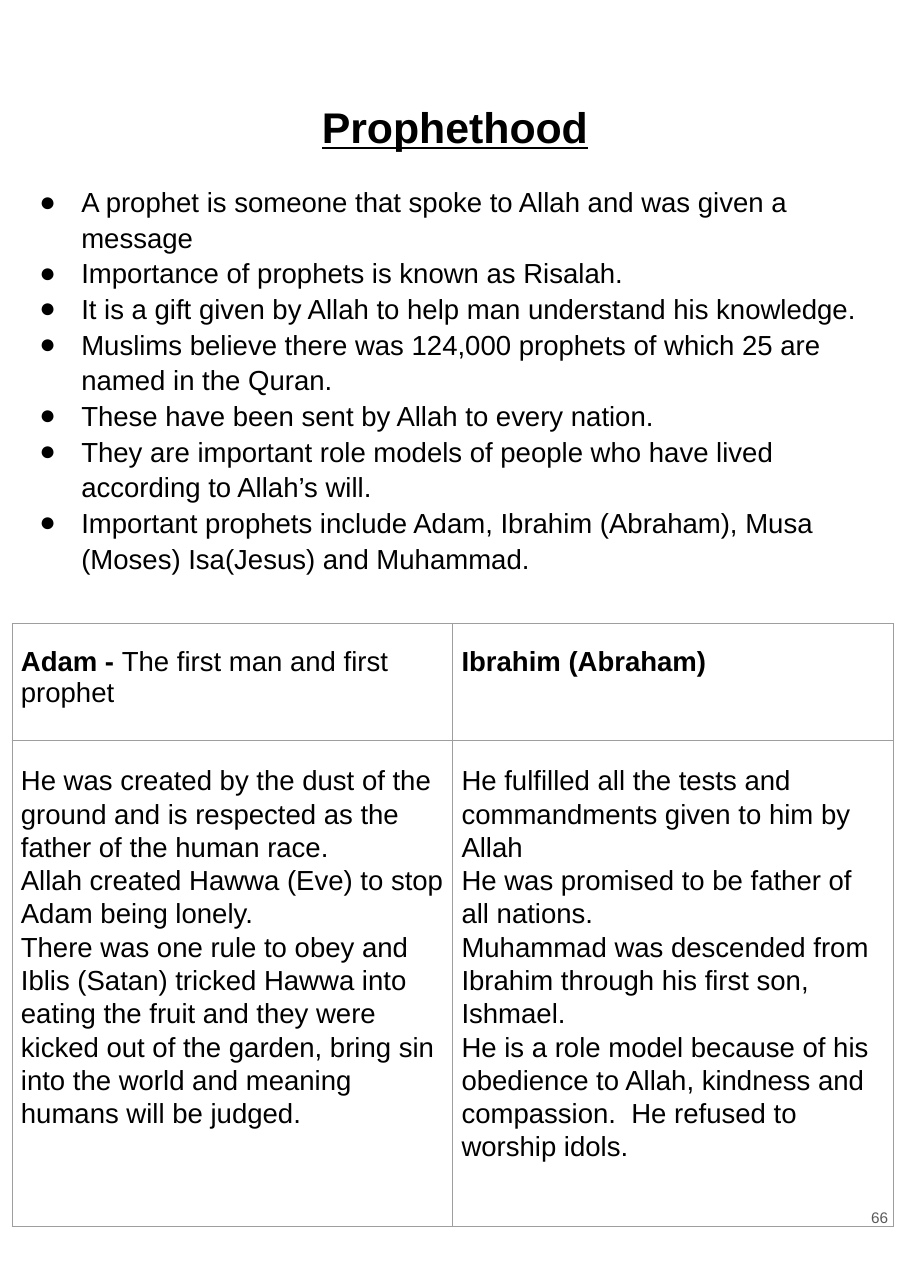
from lxml.etree import SubElement
from pptx import Presentation
from pptx.dml.color import RGBColor
from pptx.enum.text import MSO_ANCHOR, PP_ALIGN
from pptx.oxml.ns import qn
from pptx.util import Pt

# Content: a paragraph is a list of (text, bold) runs
TITLE = "Prophethood"
PAGE_NUMBER = "66"
POINTS = [
    "A prophet is someone that spoke to Allah and was given a message",
    "Importance of prophets is known as Risalah.",
    "It is a gift given by Allah to help man understand his knowledge.",
    "Muslims believe there was 124,000 prophets of which 25 are named in the Quran.",
    "These have been sent by Allah to every nation.",
    "They are important role models of people who have lived according to Allah’s will.",
    "Important prophets include Adam, Ibrahim (Abraham), Musa (Moses) Isa(Jesus) and Muhammad.",
]
PROPHET_HEADS = [
    [("Adam - ", True), ("The first man and first prophet", False)],
    [("Ibrahim (Abraham)", True)],
]
PROPHET_STORIES = [
    [
        "He was created by the dust of the ground and is respected as the father of the human race.",
        "Allah created Hawwa (Eve) to stop Adam being lonely.",
        "There was one rule to obey and Iblis (Satan) tricked Hawwa into eating the fruit and "
        "they were kicked out of the garden, bring sin into the world and meaning humans will be judged.",
    ],
    [
        "He fulfilled all the tests and commandments given to him by Allah",
        "He was promised to be father of all nations.",
        "Muhammad was descended from Ibrahim through his first son, Ishmael.",
        "He is a role model because of his obedience to Allah, kindness and compassion.  "
        "He refused to worship idols.",
    ],
]

# Look
FONT = "Arial"
BLACK = RGBColor(0x00, 0x00, 0x00)
GREY = RGBColor(0x59, 0x59, 0x59)
WHITE = RGBColor(0xFF, 0xFF, 0xFF)
BORDER = RGBColor(0x9E, 0x9E, 0x9E)
BODY_SIZE = 18
LINE_SPACING = 1.08

# Layout, 100 px to the inch
SCALE = 9144
PAGE_SIZE = (827, 1169)
TITLE_BOX = (28, 81, 770, 130)
POINTS_BOX = (14, 121, 794, 445)
NUMBER_BOX = (766, 1060, 50, 89)
TABLE_LEFT, TABLE_TOP = 11, 566
COLUMN_WIDTH = 400
ROW_HEIGHTS = [106, 441]
BOX_INSET = 10
CELL_INSET_X, CELL_INSET_Y = 8, 21
BULLET_INDENT, BULLET_HANG = 50, 38


def px(length):
    return length * SCALE


def set_insets(target, across, down):
    target.margin_left = target.margin_right = px(across)
    target.margin_top = target.margin_bottom = px(down)


def add_span(para, text, size=BODY_SIZE, color=BLACK, bold=False, underline=False):
    span = para.add_run()
    span.text = text
    font = span.font
    font.name, font.size, font.bold = FONT, Pt(size), bold
    font.underline = underline
    font.color.rgb = color


def add_box(page, place, anchor):
    frame = page.shapes.add_textbox(*map(px, place)).text_frame
    frame.word_wrap = True
    frame.vertical_anchor = anchor
    set_insets(frame, BOX_INSET, BOX_INSET)
    return frame


def add_paragraphs(frame, texts):
    for number, text in enumerate(texts):
        para = frame.add_paragraph() if number else frame.paragraphs[0]
        para.line_spacing = LINE_SPACING
        add_span(para, text)


def add_bullet(para):
    props = para._p.get_or_add_pPr()
    props.set("marL", str(px(BULLET_INDENT)))
    props.set("indent", str(-px(BULLET_HANG)))
    color = SubElement(props, qn("a:buClr"))
    SubElement(color, qn("a:srgbClr")).set("val", str(BLACK))
    SubElement(props, qn("a:buFont")).set("typeface", FONT)
    SubElement(props, qn("a:buChar")).set("char", "●")


def style_cell(cell):
    set_insets(cell, CELL_INSET_X, CELL_INSET_Y)
    cell.vertical_anchor = MSO_ANCHOR.TOP
    props = cell._tc.get_or_add_tcPr()
    for side in ("a:lnL", "a:lnR", "a:lnT", "a:lnB"):
        line = SubElement(props, qn(side))
        line.set("w", str(Pt(0.75)))
        fill = SubElement(line, qn("a:solidFill"))
        SubElement(fill, qn("a:srgbClr")).set("val", str(BORDER))
    cell.fill.background()


def add_prophet_table(page):
    columns = len(PROPHET_HEADS)
    table = page.shapes.add_table(
        len(ROW_HEIGHTS), columns, px(TABLE_LEFT), px(TABLE_TOP),
        px(COLUMN_WIDTH * columns), px(sum(ROW_HEIGHTS))).table
    table.first_row = table.horz_banding = False
    for row, height in zip(table.rows, ROW_HEIGHTS):
        row.height = px(height)
    for cell in table.iter_cells():
        style_cell(cell)
    for column, (head, story) in enumerate(zip(PROPHET_HEADS, PROPHET_STORIES)):
        para = table.cell(0, column).text_frame.paragraphs[0]
        for text, bold in head:
            add_span(para, text, bold=bold)
        add_paragraphs(table.cell(1, column).text_frame, story)


def main():
    deck = Presentation()
    deck.slide_width, deck.slide_height = map(px, PAGE_SIZE)
    page = deck.slides.add_slide(deck.slide_layouts[6])
    page.background.fill.solid()
    page.background.fill.fore_color.rgb = WHITE

    # Title
    para = add_box(page, TITLE_BOX, MSO_ANCHOR.TOP).paragraphs[0]
    para.alignment = PP_ALIGN.CENTER
    add_span(para, TITLE, size=28, bold=True, underline=True)

    # Two prophets side by side
    add_prophet_table(page)

    # Bulleted points
    frame = add_box(page, POINTS_BOX, MSO_ANCHOR.MIDDLE)
    add_paragraphs(frame, POINTS)
    for para in frame.paragraphs:
        add_bullet(para)

    # Page number
    para = add_box(page, NUMBER_BOX, MSO_ANCHOR.MIDDLE).paragraphs[0]
    para.alignment = PP_ALIGN.RIGHT
    add_span(para, PAGE_NUMBER, size=10, color=GREY)

    deck.save("out.pptx")


if __name__ == "__main__":
    main()
